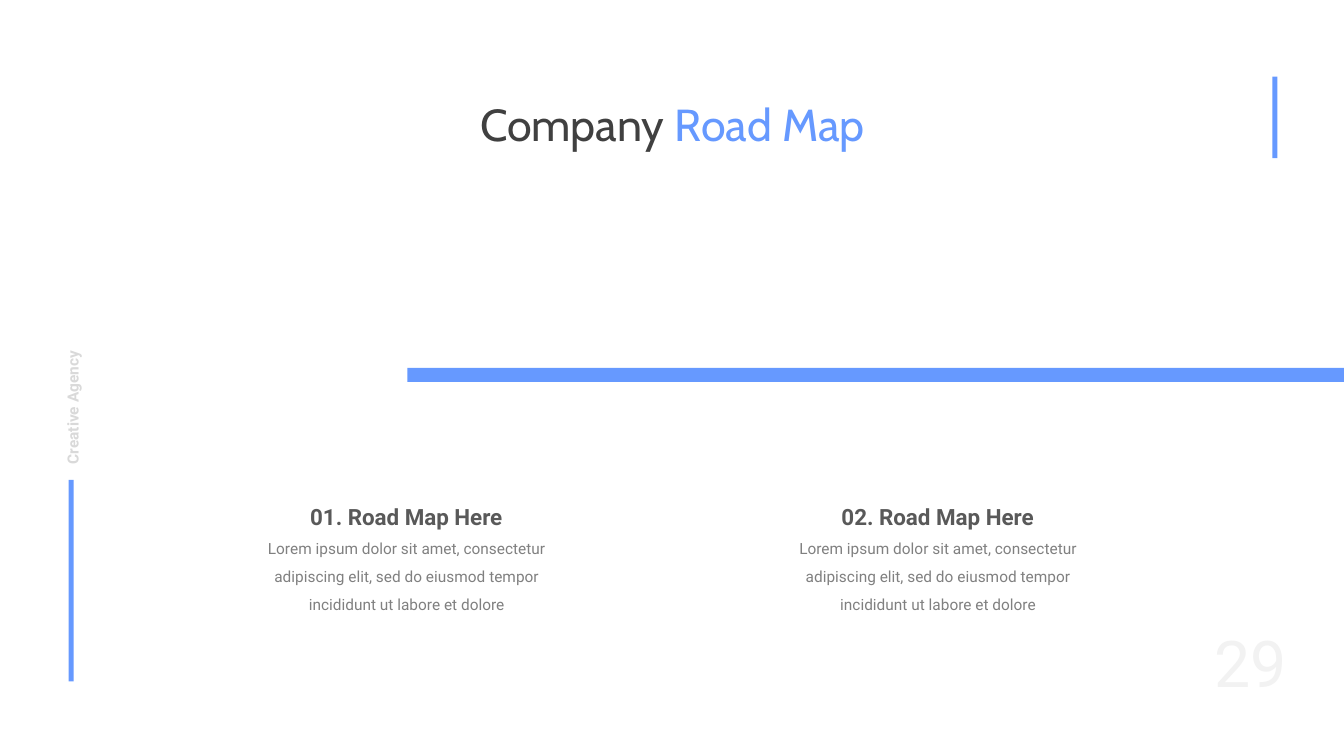
from dataclasses import dataclass

from pptx import Presentation
from pptx.dml.color import RGBColor
from pptx.enum.shapes import MSO_SHAPE as Shape
from pptx.enum.text import MSO_AUTO_SIZE as AutoSize, PP_ALIGN as Align
from pptx.slide import Slide
from pptx.util import Emu, Pt

PX = 9144  # 100 px to the inch
BLUE = "6699FF"
BODY = (
    "Lorem ipsum dolor sit amet, consectetur adipiscing elit, "
    "sed do eiusmod tempor incididunt ut labore et dolore"
)


@dataclass(frozen=True)
class Area:
    left: int
    top: int
    width: int
    height: int

    def emu(self) -> list[Emu]:
        return [Emu(n * PX) for n in (self.left, self.top, self.width, self.height)]


@dataclass(frozen=True)
class Span:
    text: str
    color: str


@dataclass(frozen=True)
class Label:
    area: Area
    spans: tuple[Span, ...]
    size: int
    font: str = "Roboto"
    bold: bool = False
    align: Align = Align.CENTER
    line_spacing: float = 1.5
    rotation: int = 0


def rgb(value: str) -> RGBColor:
    return RGBColor.from_string(value)


def draw_bar(page: Slide, area: Area) -> None:
    bar = page.shapes.add_shape(Shape.RECTANGLE, *area.emu())
    bar.shadow.inherit = False
    bar.fill.solid()
    bar.fill.fore_color.rgb = rgb(BLUE)
    bar.line.fill.background()


def draw_label(page: Slide, label: Label) -> None:
    box = page.shapes.add_textbox(*label.area.emu())
    box.rotation = label.rotation
    frame = box.text_frame
    frame.word_wrap = True
    frame.auto_size = AutoSize.SHAPE_TO_FIT_TEXT
    para = frame.paragraphs[0]
    para.alignment = label.align
    para.line_spacing = label.line_spacing
    for span in label.spans:
        run = para.add_run()
        run.text = span.text
        run.font.name = label.font
        run.font.size = Pt(label.size)
        run.font.bold = label.bold
        run.font.color.rgb = rgb(span.color)


# Road, left rule and right rule
BARS = (
    Area(404, 365, 929, 14),
    Area(68, 476, 5, 200),
    Area(1262, 76, 5, 81),
)

# Title, side caption and page number
FRAME_LABELS = (
    Label(Area(449, 91, 436, 64), (Span("Company ", "404040"), Span("Road Map", BLUE)),
          32, font="Cabin", line_spacing=1.0),
    Label(Area(-10, 377, 152, 35), (Span("Creative Agency", "D9D9D9"),),
          11, bold=True, align=Align.JUSTIFY, rotation=270),
    Label(Area(1180, 613, 120, 86), (Span("29", "F2F2F2"),), 46, line_spacing=1.0),
)

# Milestones
MILESTONES = ("01. Road Map Here", "02. Road Map Here")
FIRST_CENTER, STEP = 403, 527


def draw_milestone(page: Slide, center: int, heading: str) -> None:
    draw_label(page, Label(Area(center - 157, 521, 315, 90), (Span(BODY, "808080"),), 11))
    draw_label(page, Label(Area(center - 136, 481, 272, 46),
                           (Span(heading, "595959"),), 16, bold=True))


def main() -> None:
    deck = Presentation()
    deck.slide_width, deck.slide_height = Emu(1333 * PX), Emu(750 * PX)
    page = deck.slides.add_slide(deck.slide_layouts[6])
    for area in BARS:
        draw_bar(page, area)
    for index, heading in enumerate(MILESTONES):
        draw_milestone(page, FIRST_CENTER + index * STEP, heading)
    for label in FRAME_LABELS:
        draw_label(page, label)
    deck.save("out.pptx")


if __name__ == "__main__":
    main()
